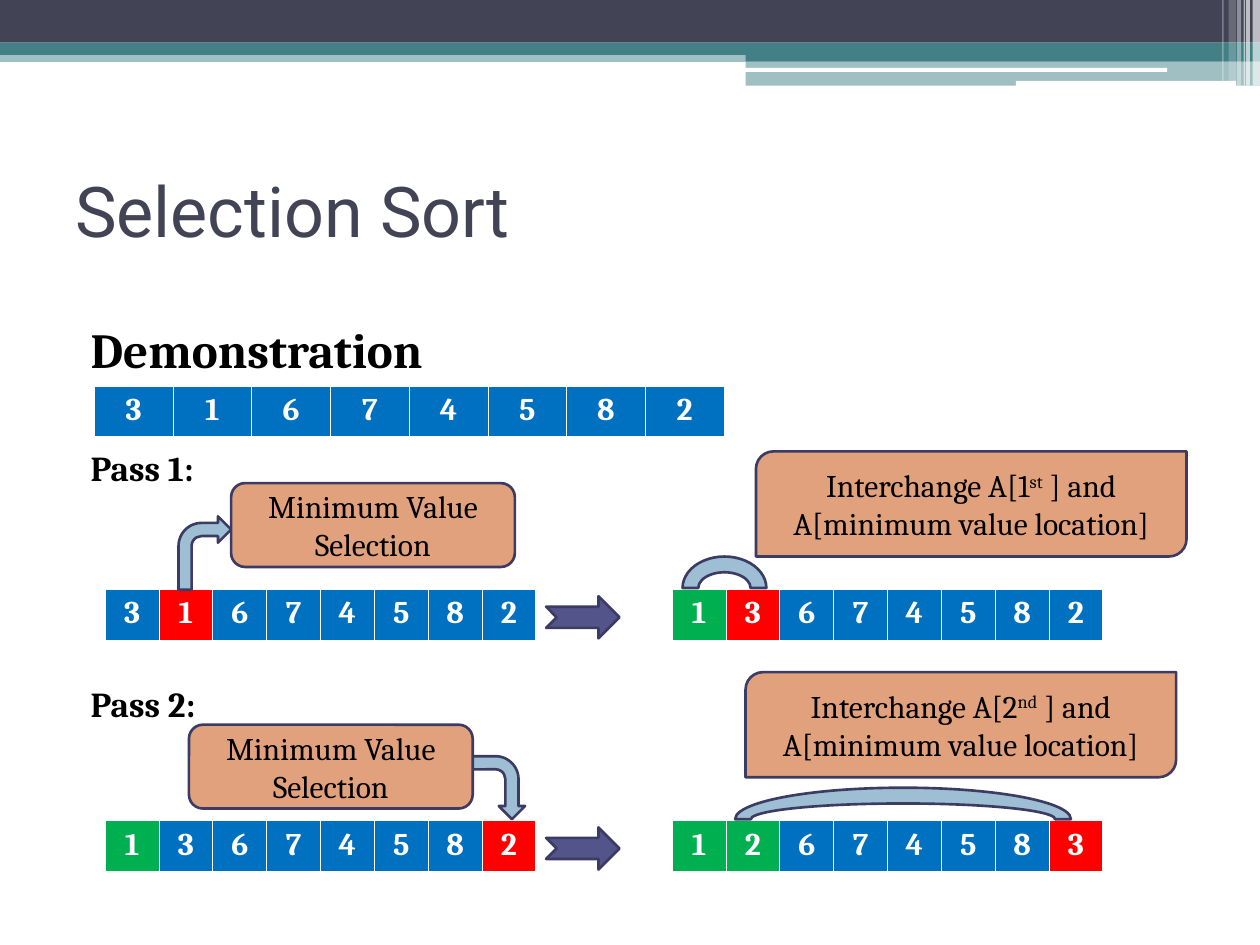
from lxml import etree
from pptx import Presentation
from pptx.dml.color import RGBColor
from pptx.enum.shapes import MSO_SHAPE
from pptx.enum.text import MSO_ANCHOR, PP_ALIGN
from pptx.oxml.ns import qn
from pptx.util import Cm, Pt

RECT = MSO_SHAPE.RECTANGLE
ROUNDED = MSO_SHAPE.ROUNDED_RECTANGLE
DIAGONAL = MSO_SHAPE.ROUND_2_DIAG_RECTANGLE
BENT_ARROW = MSO_SHAPE.BENT_ARROW
NOTCHED_ARROW = MSO_SHAPE.NOTCHED_RIGHT_ARROW
ARC = MSO_SHAPE.BLOCK_ARC
MIDDLE = MSO_ANCHOR.MIDDLE
CENTER = PP_ALIGN.CENTER

WHITE = RGBColor(0xFF, 0xFF, 0xFF)
BLACK = RGBColor(0x00, 0x00, 0x00)
SLATE = RGBColor(0x42, 0x44, 0x56)
TEAL = RGBColor(0x43, 0x80, 0x86)
BLUE = RGBColor(0x00, 0x70, 0xC0)
RED = RGBColor(0xFF, 0x00, 0x00)
GREEN = RGBColor(0x00, 0xB0, 0x50)
SKY = RGBColor(0x9D, 0xBE, 0xD3)
PURPLE = RGBColor(0x53, 0x54, 0x8A)
OUTLINE = RGBColor(0x3B, 0x3B, 0x64)
PEACH = RGBColor(0xE1, 0xA1, 0x7C)

prs = Presentation()
prs.slide_width, prs.slide_height = Cm(25.4), Cm(19.05)
slide = prs.slides.add_slide(prs.slide_layouts[6])


def add_block(kind, box, fill, line=OUTLINE, runs=()):
    block = slide.shapes.add_shape(kind, *map(Cm, box))
    block.shadow.inherit = False
    block.fill.solid()
    block.fill.fore_color.rgb = fill
    if line is None:
        block.line.fill.background()
    else:
        block.line.color.rgb = line
        block.line.width = Pt(1.5)
    block.text_frame.vertical_anchor = MIDDLE
    paragraph = block.text_frame.paragraphs[0]
    paragraph.alignment = CENTER
    for text, baseline in runs:
        run = paragraph.add_run()
        run.text = text
        run.font.size = Pt(18)
        run.font.name = "Cambria"
        run.font.color.rgb = BLACK
        if baseline:
            run._r.get_or_add_rPr().set("baseline", str(baseline * 1000))
    return block


def add_array(left, top, width, digits, marks):
    array = slide.shapes.add_table(
        1, len(digits), Cm(left), Cm(top), Cm(width), Cm(1.04)).table
    array.first_row = False
    array.horz_banding = False
    for index, digit in enumerate(digits):
        cell = array.cell(0, index)
        properties = cell._tc.get_or_add_tcPr()
        for side, points in (("L", 0.45), ("R", 0.45), ("T", 0.45), ("B", 1.47)):
            border = etree.SubElement(properties, qn(f"a:ln{side}"), w=str(Pt(points)))
            paint = etree.SubElement(border, qn("a:solidFill"))
            etree.SubElement(paint, qn("a:srgbClr"), val=str(WHITE))
        cell.fill.solid()
        cell.fill.fore_color.rgb = marks.get(index, BLUE)
        paragraph = cell.text_frame.paragraphs[0]
        paragraph.alignment = CENTER
        run = paragraph.add_run()
        run.text = digit
        run.font.size = Pt(18)
        run.font.name = "Cambria"
        run.font.bold = True
        run.font.color.rgb = WHITE


header_bands = [
    (RECT, (0, 1.02, 25.4, 0.23), TEAL, 50),
    (RECT, (0, 0, 25.4, 0.86), SLATE, 100),
    (RECT, (0, 0.86, 25.4, 0.25), TEAL, 100),
    (RECT, (15.03, 0.99, 10.37, 0.24), TEAL, 100),
    (RECT, (15.03, 1.23, 10.37, 0.5), TEAL, 50),
    (ROUNDED, (15.02, 1.37, 8.51, 0.08), WHITE, 100),
    (ROUNDED, (20.48, 1.63, 4.44, 0.1), WHITE, 100),
    (RECT, (25.25, 0, 0.15, 1.73), WHITE, 65),
    (RECT, (25.12, 0, 0.08, 1.73), WHITE, 65),
    (RECT, (25.07, 0, 0.03, 1.73), WHITE, 60),
    (RECT, (24.94, 0, 0.08, 1.73), WHITE, 40),
    (RECT, (24.77, 0, 0.15, 1.63), WHITE, 20),
    (RECT, (24.64, 0, 0.03, 1.63), WHITE, 30),
]
for kind, box, color, opacity in header_bands:
    band = add_block(kind, box, color, None)
    if opacity < 100:
        tint = band._element.spPr.find(qn("a:solidFill"))[0]
        etree.SubElement(tint, qn("a:alpha"), val=str(opacity * 1000))

title = slide.shapes.add_textbox(Cm(1.27), Cm(2.74), Cm(22.86), Cm(2.97)).text_frame
title.word_wrap = True
title.vertical_anchor = MIDDLE
heading = title.paragraphs[0].add_run()
heading.text = "Selection Sort"
heading.font.size = Pt(40)
heading.font.name = "Roboto"
heading.font.color.rgb = SLATE

body = slide.shapes.add_textbox(Cm(1.27), Cm(6.32), Cm(23.7), Cm(12.73)).text_frame
body.word_wrap = True
sections = [("Demonstration", 28, 0), ("Pass 1:", 20, 39), ("Pass 2:", 20, 110.4)]
for index, (text, size, gap) in enumerate(sections):
    section = body.add_paragraph() if index else body.paragraphs[0]
    indents = section._p.get_or_add_pPr()
    indents.set("marL", str(Cm(1.02)))
    indents.set("indent", str(Cm(-0.71)))
    if gap:
        section.space_before = Pt(gap)
    label = section.add_run()
    label.text = text
    label.font.size = Pt(size)
    label.font.name = "Cambria"
    label.font.bold = True
    label.font.color.rgb = BLACK

add_array(1.9, 7.78, 12.7, "31674582", {})

passes = [
    ("31674582", {1: RED}, "13674582", {0: GREEN, 1: RED}, "1", "st",
     (4.66, 9.74), (15.24, 9.1), (3.6, 10.41, 1.06, 1.48), 0, (13.76, 11.22, 1.69, 1.27)),
    ("13674582", {0: GREEN, 7: RED}, "12674583", {0: GREEN, 1: GREEN, 7: RED}, "2", "nd",
     (3.81, 14.61), (15.03, 13.55), (9.42, 15.35, 1.27, 1.06), 90, (14.82, 15.88, 6.77, 1.27)),
]
for index, (before, before_marks, after, after_marks, ordinal, suffix,
            minimum_at, interchange_at, pointer_box, turn, swap_box) in enumerate(passes):
    top = 11.88 + 4.66 * index
    add_array(2.12, top, 8.68, before, before_marks)
    pointer = add_block(BENT_ARROW, pointer_box, SKY)
    pointer.rotation = turn
    add_block(ROUNDED, (*minimum_at, 5.72, 1.69), PEACH,
              runs=[("Minimum Value Selection", 0)])
    add_block(NOTCHED_ARROW, (11.01, top + 0.14, 1.48, 0.85), PURPLE)
    add_array(13.55, top, 8.68, after, after_marks)
    add_block(ARC, swap_box, SKY)
    add_block(DIAGONAL, (*interchange_at, 8.68, 2.12), PEACH,
              runs=[(f"Interchange A[{ordinal}", 0), (suffix, 30),
                    (" ] and A[minimum value location]", 0)])

prs.save("out.pptx")
